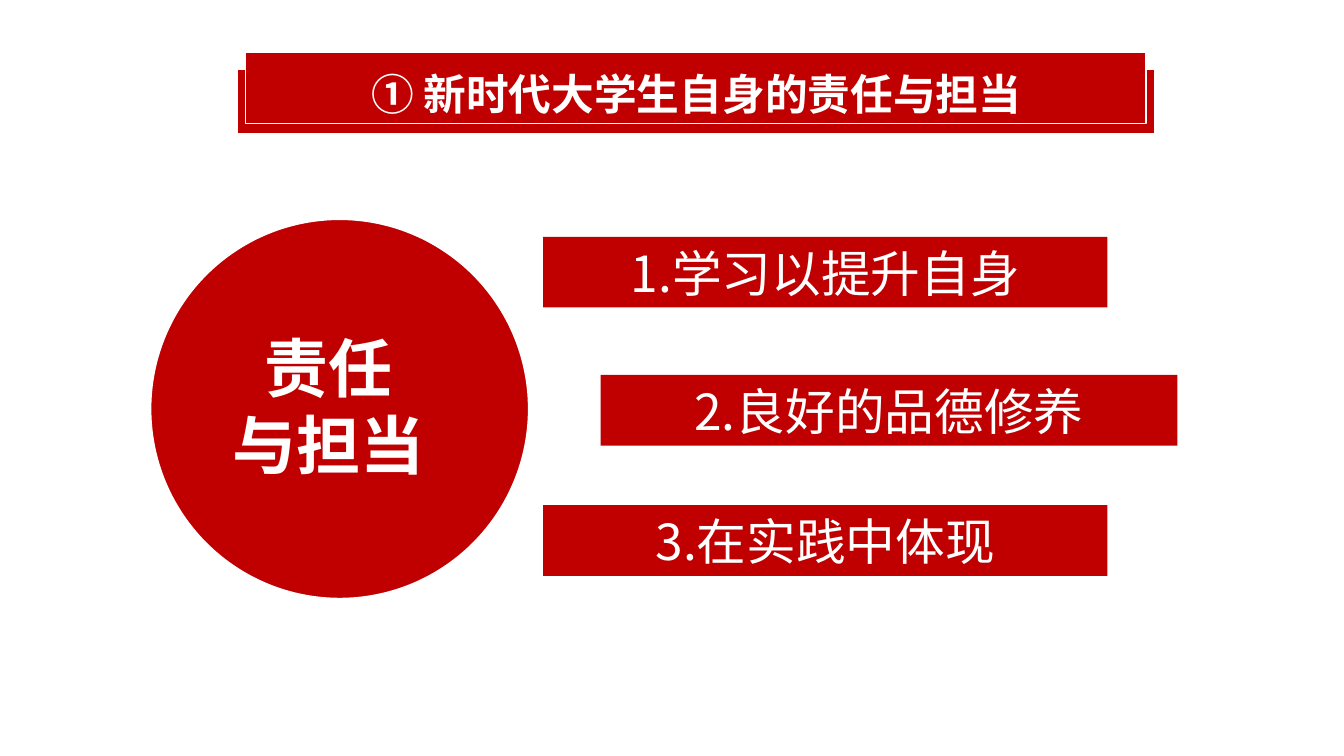
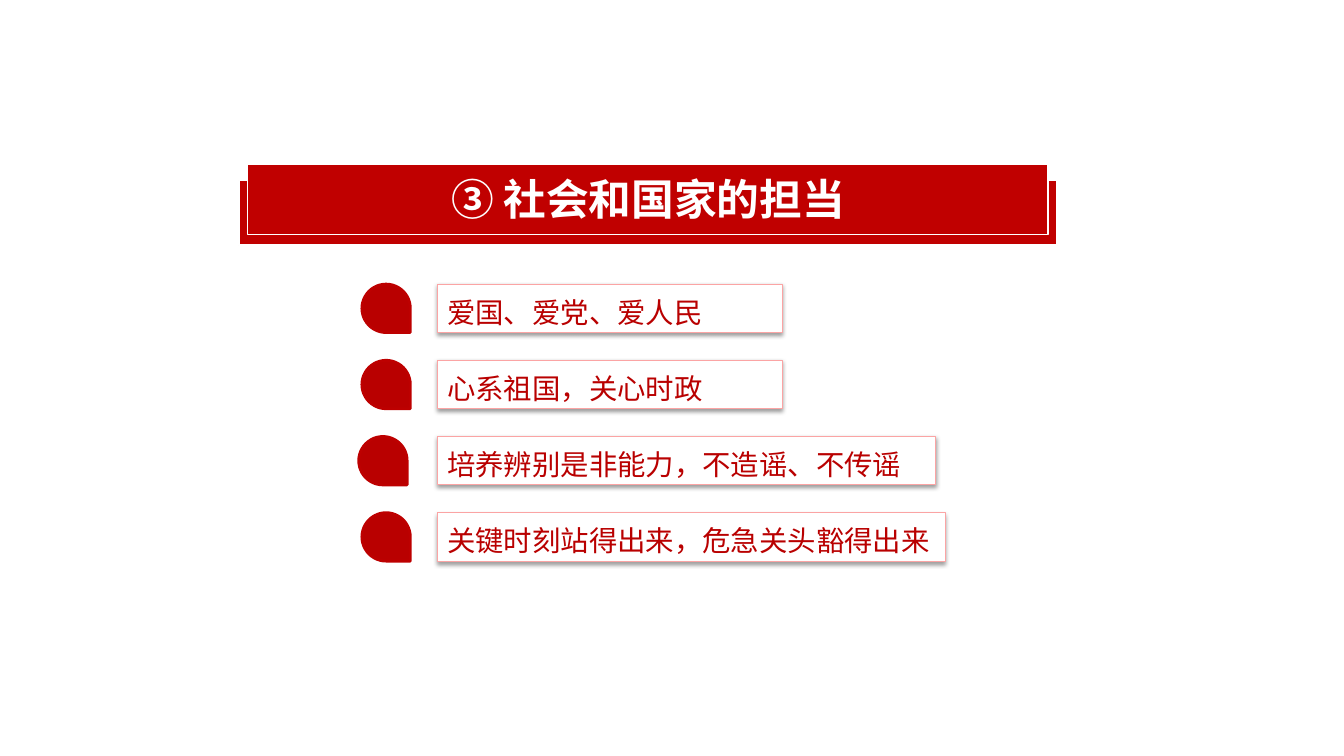
from lxml import etree
from pptx import Presentation
from pptx.dml.color import RGBColor
from pptx.enum.shapes import MSO_SHAPE
from pptx.enum.text import MSO_ANCHOR, PP_ALIGN
from pptx.oxml.ns import qn
from pptx.util import Cm, Pt

RECTANGLE, OVAL, TEARDROP = MSO_SHAPE.RECTANGLE, MSO_SHAPE.OVAL, MSO_SHAPE.TEAR
CENTER, LEFT = PP_ALIGN.CENTER, PP_ALIGN.LEFT
MIDDLE = MSO_ANCHOR.MIDDLE

RED = RGBColor(0xC0, 0x00, 0x00)
DEEP_RED = RGBColor(0xB9, 0x00, 0x00)
DROP_EDGE = RGBColor(0xBD, 0x00, 0x00)
PINK = RGBColor(0xFB, 0xA4, 0xA4)
BLACK = RGBColor(0x00, 0x00, 0x00)
WHITE = RGBColor(0xFF, 0xFF, 0xFF)
FONT = "Noto Sans CJK SC"

BAND_HEIGHT = 1.78
DROP_SIZE = 1.22


class Deck:
    """Holds the shared style and the slide being filled; lengths are in cm."""

    def __init__(self):
        self.presentation = Presentation()
        self.presentation.slide_width = Cm(33.87)
        self.presentation.slide_height = Cm(19.05)
        self.slide = None

    def new_slide(self):
        blank = self.presentation.slide_layouts[6]
        self.slide = self.presentation.slides.add_slide(blank)

    def shape(self, kind, left, top, width, height, fill=RED, edge=None, edge_width=1):
        shape = self.slide.shapes.add_shape(
            kind, Cm(left), Cm(top), Cm(width), Cm(height))
        shape.shadow.inherit = False
        shape.fill.solid()
        shape.fill.fore_color.rgb = fill
        if edge is None:
            shape.line.fill.background()
        else:
            shape.line.color.rgb = edge
            shape.line.width = Pt(edge_width)
        return shape

    def set_text(self, shape, lines, size, color=WHITE, bold=False, align=CENTER,
                 spacing=None, inset_top=0):
        frame = shape.text_frame
        frame_format = {"word_wrap": True, "vertical_anchor": MIDDLE,
                        "margin_top": Cm(inset_top), "margin_bottom": 0}
        for name, value in frame_format.items():
            setattr(frame, name, value)
        font_format = {"name": FONT, "size": Pt(size), "bold": bold}
        for index, line in enumerate(lines):
            paragraph = frame.add_paragraph() if index else frame.paragraphs[0]
            paragraph.alignment = align
            paragraph.line_spacing = spacing
            run = paragraph.add_run()
            run.text = line
            for name, value in font_format.items():
                setattr(run.font, name, value)
            run.font.color.rgb = color
            etree.SubElement(run.font._element, qn("a:ea"), typeface=FONT)

    def title_band(self, title, left, top, width, title_top):
        """Two offset red bars with the title in front."""
        self.shape(RECTANGLE, left, top, width, 1.63, edge=WHITE)
        self.shape(RECTANGLE, left + 0.22, top - 0.42, width - 0.45, BAND_HEIGHT,
                   edge=WHITE)
        title_box = self.slide.shapes.add_textbox(
            Cm(left - 0.22), Cm(title_top), Cm(width + 0.45), Cm(1.55))
        self.set_text(title_box, [title], 30.5, bold=True)

    def bar(self, text, left, top, width):
        bar = self.shape(RECTANGLE, left, top, width, BAND_HEIGHT)
        self.set_text(bar, [text], 35.5)

    def topic_circle(self, lines):
        self.shape(OVAL, 3.71, 5.44, 9.7, 9.73, edge=WHITE, edge_width=6)
        label = self.shape(RECTANGLE, 5.54, 8, 5.49, 4.17)
        self.set_text(label, lines, 45.7, bold=True, spacing=Pt(55), inset_top=0.25)

    def soft_shadow(self, shape):
        effects = shape._element.spPr.find(qn("a:effectLst"))
        shadow = etree.SubElement(
            effects, qn("a:outerShdw"), blurRad=str(Pt(3.1)), dist=str(Pt(1.6)),
            dir="5400000", algn="t", rotWithShape="0")
        color = etree.SubElement(shadow, qn("a:srgbClr"), val=str(BLACK))
        etree.SubElement(color, qn("a:alpha"), val="38000")

    def drop_item(self, text, top, width, drop_left):
        """A framed statement led by a teardrop."""
        card = self.shape(RECTANGLE, 11.02, top, width, DROP_SIZE, WHITE, PINK, 0.75)
        self.soft_shadow(card)
        self.set_text(card, [text], 20.3, DEEP_RED, align=LEFT, spacing=1.2)
        drop = self.shape(TEARDROP, drop_left, top, DROP_SIZE, DROP_SIZE,
                          DEEP_RED, DROP_EDGE, 2)
        drop.rotation = 90


def build_personal_duty(deck):
    deck.new_slide()
    for text, left, top, width in (
            ("1.学习以提升自身", 13.69, 5.97, 14.22),
            ("2.良好的品德修养", 15.14, 9.45, 14.53),
            ("3.在实践中体现", 13.69, 12.73, 14.22)):
        deck.bar(text, left, top, width)
    deck.title_band("① 新时代大学生自身的责任与担当", 5.97, 1.75, 23.14, 1.57)
    deck.topic_circle(["责任", "与担当"])


def build_social_duty(deck):
    deck.new_slide()
    deck.title_band("③ 社会和国家的担当", 6.02, 4.55, 20.62, 4.22)
    statements = (
        ("爱国、爱党、爱人民", 8.69, 9.12),
        ("心系祖国，关心时政", 8.69, 9.12),
        ("培养辨别是非能力，不造谣、不传谣", 12.55, 9.04),
        ("关键时刻站得出来，危急关头豁得出来", 12.8, 9.12))
    for row, (text, width, drop_left) in enumerate(statements):
        deck.drop_item(text, 7.16 + row * 1.92, width, drop_left)


def main():
    deck = Deck()
    build_personal_duty(deck)
    build_social_duty(deck)
    deck.presentation.save("out.pptx")


if __name__ == "__main__":
    main()
